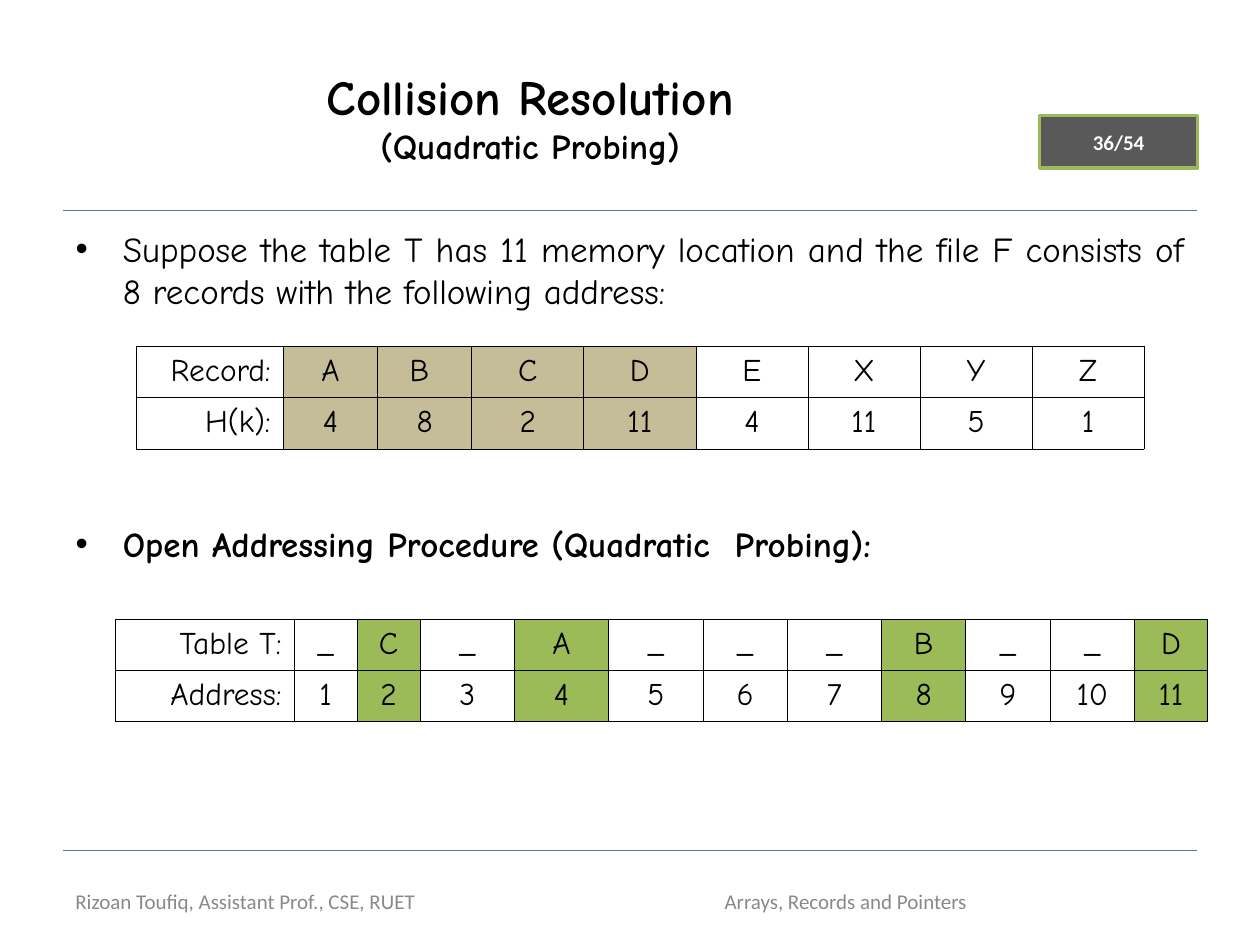
from lxml import etree
from pptx import Presentation
from pptx import util as u
from pptx.dml import color
from pptx.enum import shapes, text
from pptx.oxml import ns

COLOURS = {
    "black": "000000",
    "white": "FFFFFF",
    "rule": "4A7EBB",
    "badge": "595959",
    "green": "9BBB59",
    "tan": "C4BD97",
    "footer": "898989",
}
HEAD = {"name": "Comic Neue", "size": u.Pt(28), "bold": True}
SUBHEAD = {**HEAD, "size": u.Pt(20)}
BODY = {**SUBHEAD, "bold": False}
CELL = {**BODY, "size": u.Pt(18)}
SMALL = {"name": "Calibri", "size": u.Pt(12), "bold": False}
BADGE = {**SMALL, "bold": True}
ALIGN = text.PP_ALIGN


def rgb(name):
    return color.RGBColor.from_string(COLOURS[name])


def set_attributes(target, values):
    for name, value in values.items():
        setattr(target, name, value)


def write(paragraph, words, font, colour="black", **format_values):
    run = paragraph.add_run()
    run.text = words
    set_attributes(run.font, font)
    run.font.color.rgb = rgb(colour)
    set_attributes(paragraph, format_values)


def place(shape, box):
    names = ("left", "top", "width", "height")
    set_attributes(shape, dict(zip(names, (u.Cm(length) for length in box))))


def add_rule(slide, left, top, width):
    line = slide.shapes.add_connector(
        shapes.MSO_CONNECTOR.STRAIGHT,
        u.Cm(left), u.Cm(top), u.Cm(left + width), u.Cm(top),
    )
    line.line.color.rgb = rgb("rule")
    line.line.width = u.Pt(0.75)
    etree.SubElement(line._element.spPr, ns.qn("a:effectLst"))


def add_badge(slide, box, words):
    badge = slide.shapes.add_shape(
        shapes.MSO_SHAPE.RECTANGLE, *(u.Cm(length) for length in box)
    )
    badge.shadow.inherit = False
    badge.fill.solid()
    badge.fill.fore_color.rgb = rgb("badge")
    badge.line.color.rgb = rgb("green")
    badge.line.width = u.Pt(2)
    badge.text_frame.vertical_anchor = text.MSO_ANCHOR.MIDDLE
    write(badge.text_frame.paragraphs[0], words, BADGE, "white", alignment=ALIGN.CENTER)


def fill_title(slide, box, heading, subheading):
    title = slide.shapes.title
    place(title, box)
    title.text_frame.auto_size = text.MSO_AUTO_SIZE.NONE
    title.text_frame.vertical_anchor = text.MSO_ANCHOR.MIDDLE
    paragraph = title.text_frame.paragraphs[0]
    write(paragraph, heading, HEAD, alignment=ALIGN.CENTER)
    paragraph.add_line_break()
    write(paragraph, subheading, SUBHEAD)


def fill_body(slide, box, items):
    body = slide.placeholders[1]
    place(body, box)
    frame = body.text_frame
    frame.auto_size = text.MSO_AUTO_SIZE.NONE
    for index, (words, font, space) in enumerate(items):
        paragraph = frame.add_paragraph() if index else frame.paragraphs[0]
        write(paragraph, words, font, alignment=ALIGN.JUSTIFY, space_before=u.Pt(space))


def add_footer(slide, box, words, alignment):
    footer = slide.shapes.add_textbox(*(u.Cm(length) for length in box))
    set_attributes(
        footer.text_frame,
        {"word_wrap": True, "vertical_anchor": text.MSO_ANCHOR.MIDDLE},
    )
    write(footer.text_frame.paragraphs[0], words, SMALL, "footer", alignment=alignment)


def add_borders(cell):
    properties = cell._tc.get_or_add_tcPr()
    for side in ("lnL", "lnR", "lnT", "lnB"):
        line = etree.SubElement(properties, ns.qn(f"a:{side}"), w=str(u.Pt(0.45)))
        fill = etree.SubElement(line, ns.qn("a:solidFill"))
        etree.SubElement(fill, ns.qn("a:srgbClr"), val=COLOURS["black"])


def add_grid(slide, left, top, widths, rows, marked, colour):
    row_height = 1.03
    table = slide.shapes.add_table(
        len(rows), len(widths), u.Cm(left), u.Cm(top),
        u.Cm(sum(widths)), u.Cm(row_height * len(rows)),
    ).table
    set_attributes(table, {"first_row": False, "horz_banding": False})
    for column, width in zip(table.columns, widths):
        column.width = u.Cm(width)
    for row_index, row in enumerate(rows):
        for column_index, words in enumerate(row):
            cell = table.cell(row_index, column_index)
            add_borders(cell)
            if column_index in marked:
                cell.fill.solid()
                cell.fill.fore_color.rgb = rgb(colour)
            else:
                cell.fill.background()
            alignment = ALIGN.CENTER if column_index else ALIGN.RIGHT
            write(cell.text_frame.paragraphs[0], words, CELL, alignment=alignment)


def build_slide(presentation):
    slide = presentation.slides.add_slide(presentation.slide_layouts[1])
    for top in (4.24, 17.15):
        add_rule(slide, 1.27, top, 22.86)
    add_badge(slide, (20.96, 2.33, 3.18, 1.06), "36/54")
    fill_title(
        slide, (1.27, 0.76, 18.84, 3.18), "Collision Resolution", "(Quadratic Probing)"
    )
    fill_body(slide, (1.27, 4.45, 22.86, 12.57), [
        ("Suppose the table T has 11 memory location and the file F consists of "
         "8 records with the following address:", BODY, 5),
        ("Open Addressing Procedure (Quadratic  Probing):", SUBHEAD, 121),
    ])
    add_footer(
        slide, (1.27, 17.65, 11.22, 1.02),
        "Rizoan Toufiq, Assistant Prof., CSE, RUET", ALIGN.LEFT,
    )
    add_footer(
        slide, (13.34, 17.65, 7.42, 1.02), "Arrays, Records and Pointers", ALIGN.CENTER
    )
    add_grid(
        slide, 2.75, 6.99, [2.96] + [1.9] * 2 + [2.26] * 6,
        [
            ["Record:", "A", "B ", "C", "D", "E", "X", "Y", "Z"],
            ["H(k):", "4", "8", "2", "11", "4", "11", "5", "1"],
        ],
        range(1, 5), "tan",
    )
    stored = {2: "C", 4: "A", 8: "B", 11: "D"}
    addresses = range(1, 12)
    add_grid(
        slide, 2.33, 12.49,
        [3.6] + [1.27] * 2 + [1.9] * 3 + [1.7, 1.9] + [1.7] * 3 + [1.47],
        [
            ["Table T:"] + [stored.get(address, "_") for address in addresses],
            ["Address:"] + [str(address) for address in addresses],
        ],
        stored, "green",
    )


def main():
    presentation = Presentation()
    presentation.slide_width = u.Cm(25.4)
    presentation.slide_height = u.Cm(19.05)
    build_slide(presentation)
    presentation.save("out.pptx")


if __name__ == "__main__":
    main()
